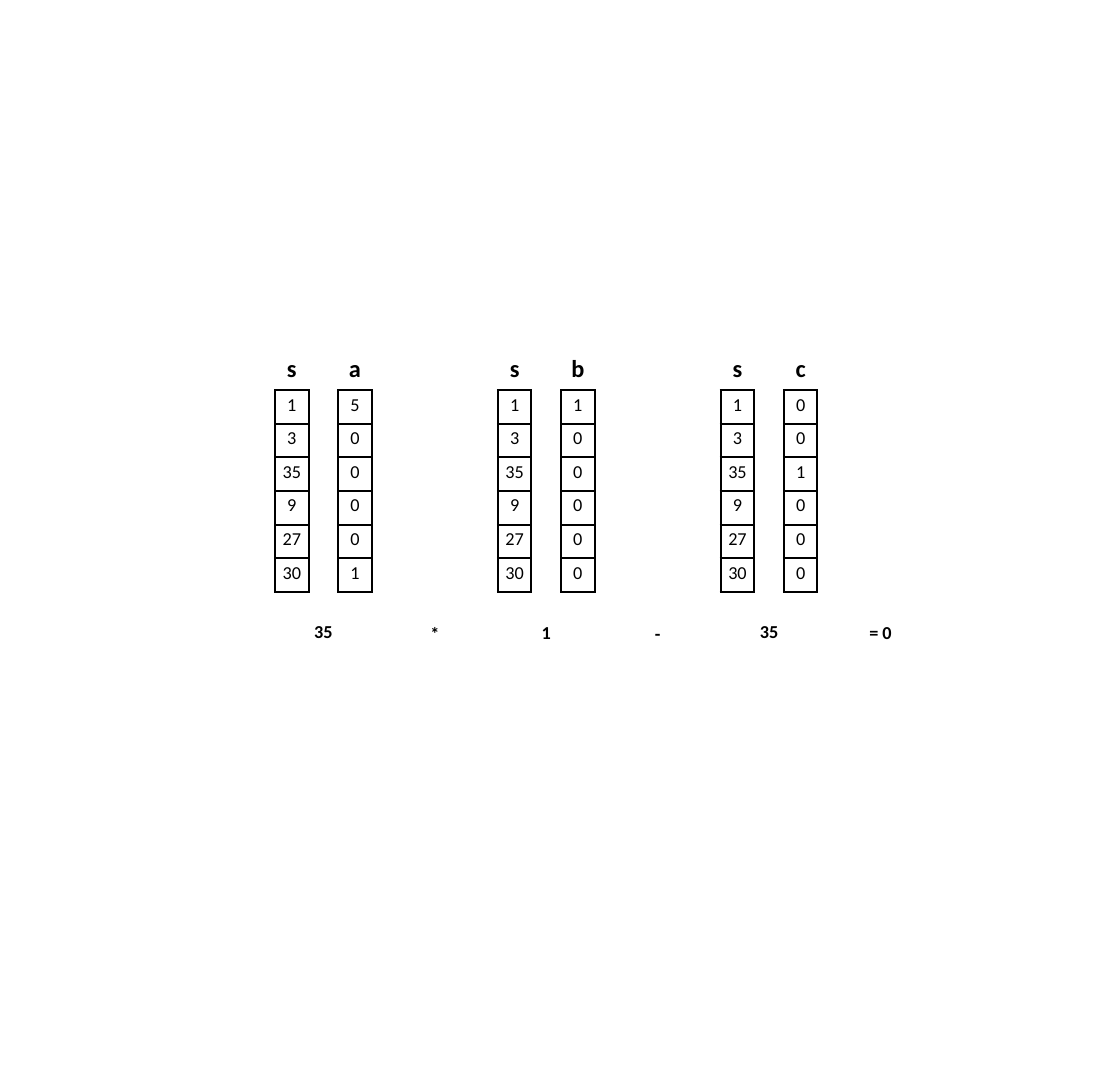
from lxml import etree
from pptx import Presentation
from pptx import util as u
from pptx.dml.color import RGBColor
from pptx.enum import text
from pptx.oxml import ns

BLACK = RGBColor(0, 0, 0)
FONT = "Calibri"
LEFT, TABLE_TOP, HEADING_TOP = u.Inches(3.77), u.Inches(5.35), u.Inches(4.8)
CELL = u.Cm(1.17)
VECTOR_STEP = u.Cm(2.2)
HALF_GROUP = u.Cm(3.88)
GROUP_WIDTH = VECTOR_STEP + CELL
WITNESS_HEIGHT, VECTOR_HEIGHT = u.Inches(4.75), u.Inches(3.36)

WITNESS = [1, 3, 35, 9, 27, 30]
VECTORS = {
    "a": [5, 0, 0, 0, 0, 1],
    "b": [1, 0, 0, 0, 0, 0],
    "c": [0, 0, 1, 0, 0, 0],
}
EQUATION = [("35", 8.45), ("*", 8.48), ("1", 8.47), ("-", 8.48), ("35", 8.45), ("= 0", 8.47)]


def format_paragraph(paragraph, size, bold):
    paragraph.alignment = text.PP_ALIGN.CENTER
    paragraph.font.name = FONT
    paragraph.font.size = u.Pt(size)
    paragraph.font.bold = bold
    paragraph.font.color.rgb = BLACK


def add_label(slide, label, left, top, width, height, size):
    box = slide.shapes.add_textbox(left, top, width, height)
    frame = box.text_frame
    frame.word_wrap = True
    frame.auto_size = text.MSO_AUTO_SIZE.SHAPE_TO_FIT_TEXT
    frame.text = label
    format_paragraph(frame.paragraphs[0], size, True)


def add_borders(cell):
    properties = cell._tc.get_or_add_tcPr()
    for side in ("a:lnL", "a:lnR", "a:lnT", "a:lnB"):
        line = etree.SubElement(properties, ns.qn(side), w=str(u.Pt(2.25)))
        fill = etree.SubElement(line, ns.qn("a:solidFill"))
        etree.SubElement(fill, ns.qn("a:srgbClr"), val=str(BLACK))


def add_vector(slide, name, values, left, height):
    frame = slide.shapes.add_table(len(values), 1, left, TABLE_TOP, CELL, CELL * len(values))
    frame.height = height
    table = frame.table
    table.first_row = False
    table.horz_banding = False
    for row, value in enumerate(values):
        cell = table.cell(row, 0)
        cell.margin_left = cell.margin_right = u.Inches(0.05)
        cell.text = str(value)
        format_paragraph(cell.text_frame.paragraphs[0], 18, False)
        add_borders(cell)
        cell.fill.background()
    add_label(slide, name, left, HEADING_TOP, CELL, u.Inches(0.5), 24)


def main():
    presentation = Presentation()
    presentation.slide_width = u.Cm(39)
    presentation.slide_height = u.Cm(38)
    slide = presentation.slides.add_slide(presentation.slide_layouts[6])
    for group, (name, values) in enumerate(VECTORS.items()):
        left = LEFT + 2 * HALF_GROUP * group
        add_vector(slide, "s", WITNESS, left, WITNESS_HEIGHT)
        add_vector(slide, name, values, left + VECTOR_STEP, VECTOR_HEIGHT)
    for position, (term, top) in enumerate(EQUATION):
        left = LEFT + HALF_GROUP * position
        add_label(slide, term, left, u.Inches(top), GROUP_WIDTH, u.Inches(0.4), 18)
    presentation.save("out.pptx")


if __name__ == "__main__":
    main()
